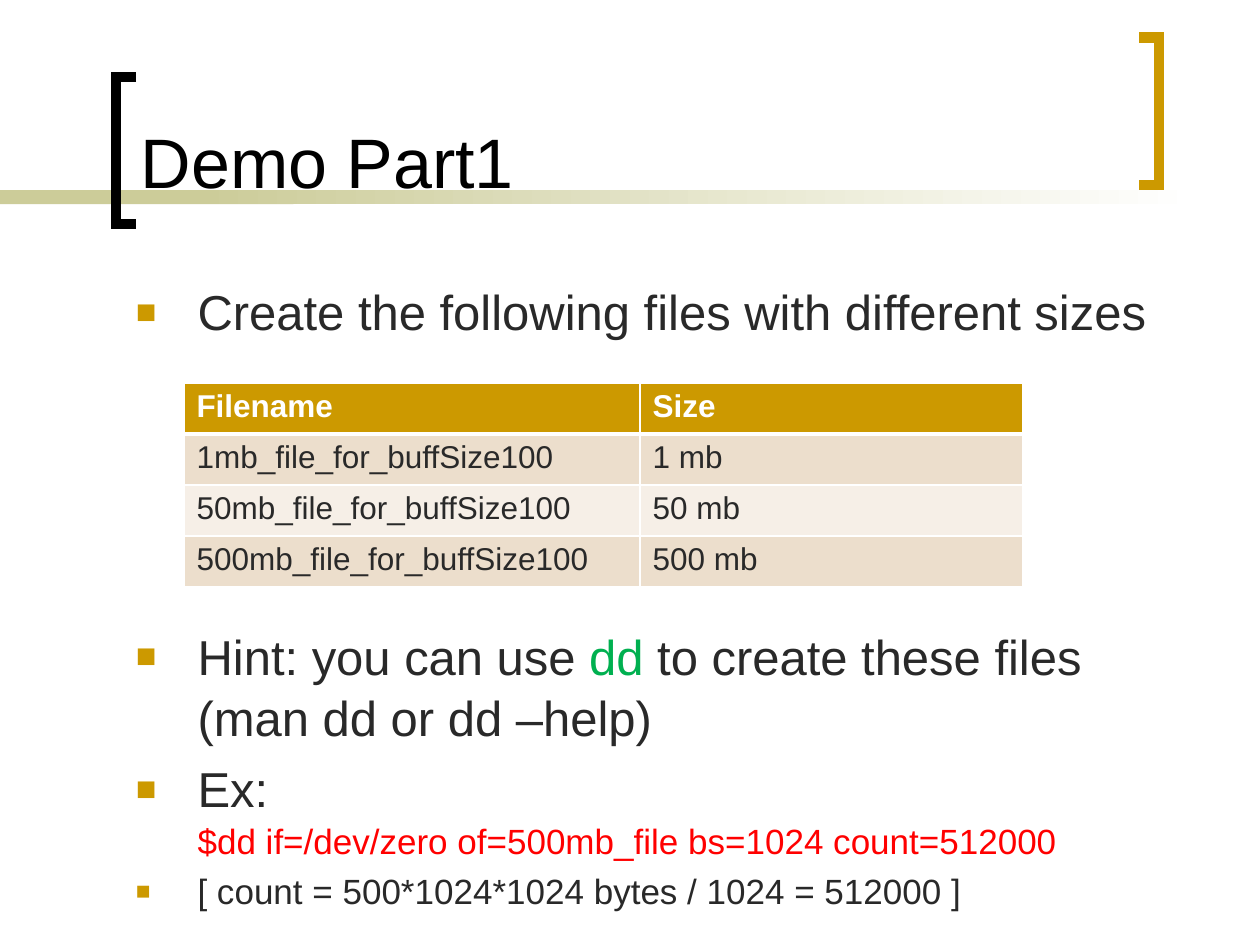
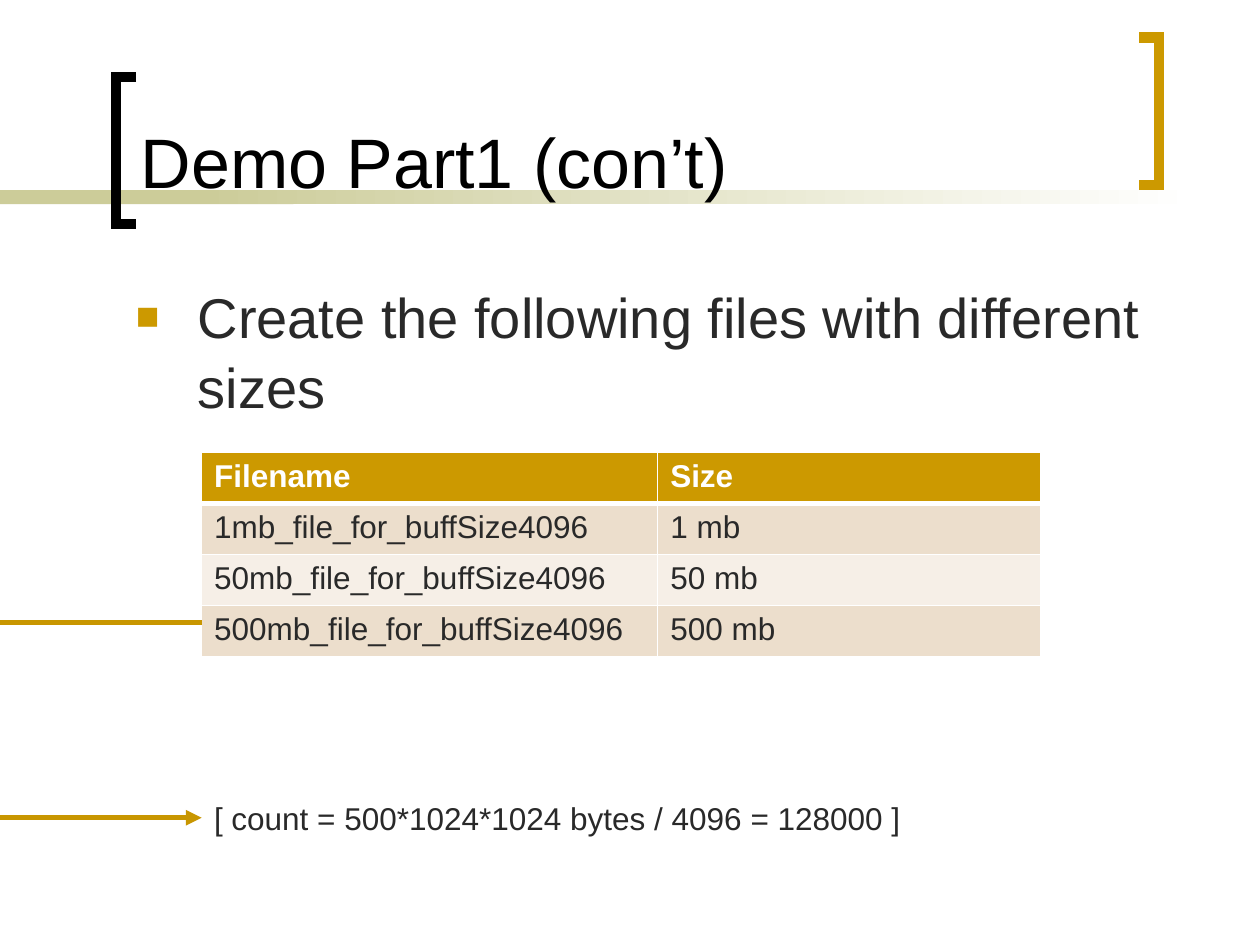
"""Builds two slides on creating demo files of different sizes."""

from dataclasses import dataclass
from typing import Any, NamedTuple

from lxml import etree
from pptx import Presentation
from pptx.dml.color import RGBColor
from pptx.enum.shapes import MSO_CONNECTOR, MSO_SHAPE
from pptx.enum.text import MSO_ANCHOR
from pptx.oxml.ns import qn
from pptx.slide import Slide
from pptx.text.text import TextFrame
from pptx.util import Inches, Pt

RECTANGLE = MSO_SHAPE.RECTANGLE
STRAIGHT = MSO_CONNECTOR.STRAIGHT
BOTTOM = MSO_ANCHOR.BOTTOM
TOP = MSO_ANCHOR.TOP

FONT = "Arial"
BLACK = RGBColor(0x00, 0x00, 0x00)
WHITE = RGBColor(0xFF, 0xFF, 0xFF)
INK = RGBColor(0x29, 0x29, 0x29)
GOLD = RGBColor(0xCC, 0x99, 0x00)
ARROW_GOLD = RGBColor(0xC8, 0x96, 0x00)
SAGE = RGBColor(0xCC, 0xCC, 0x99)
GREEN = RGBColor(0x00, 0xB0, 0x50)
RED = RGBColor(0xFF, 0x00, 0x00)
ROW_FILLS = (RGBColor(0xEC, 0xDE, 0xCC), RGBColor(0xF6, 0xEF, 0xE7))

BAND_TOP, BAND_HEIGHT = Inches(1.51), Inches(0.11)
BRACKET_HEIGHT = Inches(1.17)
COMMAND_SIZE = 20


class Box(NamedTuple):
    """Left, top, width and height in inches."""

    left: float
    top: float
    width: float
    height: float

    def emu(self) -> tuple[int, ...]:
        """Return the four lengths for python-pptx."""
        return tuple(Inches(length) for length in self)


class Bracket(NamedTuple):
    """A square bracket: open side, spine side, top and colour."""

    open_x: float
    spine_x: float
    top: float
    color: RGBColor


@dataclass(frozen=True)
class Phrase:
    """A piece of text with one size and colour."""

    text: str
    size: float
    color: RGBColor = INK
    bold: bool = False
    starts_line: bool = False


@dataclass(frozen=True)
class Bullet:
    """A bulleted paragraph and the points of space above it."""

    phrases: tuple[Phrase, ...]
    space_before: float = 0


@dataclass(frozen=True)
class DemoSlide:
    """The content of one slide."""

    title: str
    bullets: tuple[Bullet, ...]
    buffer_size: int
    table_box: Box


TITLE_BOX = Box(1.02, 0.11, 7.83, 1.55)
BODY_BOX = Box(0.98, 2.17, 8.27, 5.21)
COUNT_BOX = Box(1.6, 6.29, 6.79, 0.4)
BRACKETS = (Bracket(1.08, 0.92, 0.61, BLACK), Bracket(9.04, 9.2, 0.3, GOLD))
FILE_SIZES = (1, 50, 500)
COLUMN_WIDTHS = (3.62, 3.04)
ARROW_LENGTH = 1.6
TASK = "Create the following files with different sizes"

DEMOS = (
    DemoSlide(
        "Demo Part1",
        (
            Bullet((Phrase(TASK, 28),)),
            Bullet(
                (
                    Phrase("Hint: you can use ", 28),
                    Phrase("dd", 28, GREEN),
                    Phrase(" to create these files (man dd or dd –help)", 28),
                ),
                162,
            ),
            Bullet(
                (
                    Phrase("Ex: ", 28),
                    Phrase(
                        "$dd if=/dev/zero of=500mb_file bs=1024 count=512000",
                        COMMAND_SIZE,
                        RED,
                        starts_line=True,
                    ),
                ),
                5.6,
            ),
            Bullet(
                (Phrase("[ count = 500*1024*1024 bytes / 1024 = 512000 ]", COMMAND_SIZE),),
                4,
            ),
        ),
        100,
        Box(1.46, 3.04, 6.66, 1.62),
    ),
    DemoSlide(
        "Demo Part1 (con’t)",
        (Bullet((Phrase(TASK, 32),)),),
        4096,
        Box(1.6, 3.59, 6.66, 1.62),
    ),
)


def apply_format(target: Any, values: dict[str, Any]) -> None:
    """Set each named attribute on the target."""
    for name, value in values.items():
        setattr(target, name, value)


def add_phrase(paragraph: Any, phrase: Phrase) -> None:
    """Append a formatted run to a paragraph."""
    if phrase.starts_line:
        paragraph.add_line_break()
    run = paragraph.add_run()
    run.text = phrase.text
    apply_format(run.font, {"name": FONT, "size": Pt(phrase.size), "bold": phrase.bold})
    run.font.color.rgb = phrase.color


def add_text_frame(slide: Slide, box: Box, anchor: Any = TOP) -> TextFrame:
    """Add a wrapping text box and return its frame."""
    frame = slide.shapes.add_textbox(*box.emu()).text_frame
    apply_format(frame, {"word_wrap": True, "vertical_anchor": anchor})
    return frame


def set_bullet(paragraph: Any) -> None:
    """Give a paragraph a hanging gold square."""
    properties = paragraph._p.get_or_add_pPr()
    indent = Inches(0.49)
    properties.set("marL", str(indent))
    properties.set("indent", str(-indent))
    color = etree.SubElement(properties, qn("a:buClr"))
    etree.SubElement(color, qn("a:srgbClr"), val=str(GOLD))
    etree.SubElement(properties, qn("a:buSzPct"), val="70000")
    etree.SubElement(properties, qn("a:buFont"), typeface=FONT)
    etree.SubElement(properties, qn("a:buChar"), char="■")


def add_bullets(slide: Slide, bullets: tuple[Bullet, ...]) -> None:
    """Write the body paragraphs."""
    frame = add_text_frame(slide, BODY_BOX)
    for index, bullet in enumerate(bullets):
        paragraph = frame.add_paragraph() if index else frame.paragraphs[0]
        apply_format(
            paragraph,
            {"space_before": Pt(bullet.space_before), "line_spacing": 1.04},
        )
        set_bullet(paragraph)
        for phrase in bullet.phrases:
            add_phrase(paragraph, phrase)


def add_band(slide: Slide, left: float, width: float, fades: bool) -> None:
    """Draw a part of the band under the title."""
    band = slide.shapes.add_shape(
        RECTANGLE, Inches(left), BAND_TOP, Inches(width), BAND_HEIGHT
    )
    band.shadow.inherit = False
    band.line.fill.background()
    if fades:
        band.fill.gradient()
        band.fill.gradient_angle = 0
        for stop, color in zip(band.fill.gradient_stops, (SAGE, WHITE)):
            stop.color.rgb = color
    else:
        band.fill.solid()
        band.fill.fore_color.rgb = SAGE


def add_bracket(slide: Slide, bracket: Bracket) -> None:
    """Draw a square bracket as an open outline."""
    open_x, spine_x, top = (Inches(length) for length in bracket[:3])
    bottom = top + BRACKET_HEIGHT
    builder = slide.shapes.build_freeform(open_x, top)
    builder.add_line_segments(
        [(spine_x, top), (spine_x, bottom), (open_x, bottom)], close=False
    )
    outline = builder.convert_to_shape()
    outline.shadow.inherit = False
    outline.fill.background()
    outline.line.color.rgb = bracket.color
    outline.line.width = Pt(6)
    etree.SubElement(outline.line._get_or_add_ln(), qn("a:miter"), lim="800000")


def set_borders(cell: Any, widths: dict[str, int]) -> None:
    """Put white borders of the given point widths before the cell fill."""
    properties = cell._tc.get_or_add_tcPr()
    for position, (side, width) in enumerate(widths.items()):
        border = etree.Element(qn(f"a:{side}"), w=str(Pt(width)))
        fill = etree.SubElement(border, qn("a:solidFill"))
        etree.SubElement(fill, qn("a:srgbClr"), val=str(WHITE))
        properties.insert(position, border)


def add_file_table(slide: Slide, demo: DemoSlide) -> None:
    """Tabulate file names and sizes for one buffer size."""
    rows = [("Filename", "Size")] + [
        (f"{size}mb_file_for_buffSize{demo.buffer_size}", f"{size} mb")
        for size in FILE_SIZES
    ]
    table = slide.shapes.add_table(
        len(rows), len(COLUMN_WIDTHS), *demo.table_box.emu()
    ).table
    apply_format(table, {"first_row": False, "horz_banding": False})
    for column, width in zip(table.columns, COLUMN_WIDTHS):
        column.width = Inches(width)
    for row, texts in enumerate(rows):
        is_header = row == 0
        fill = GOLD if is_header else ROW_FILLS[(row - 1) % len(ROW_FILLS)]
        widths = {
            "lnL": 1,
            "lnR": 1,
            "lnT": 3 if row == 1 else 1,
            "lnB": 3 if is_header else 1,
        }
        for column, text in enumerate(texts):
            cell = table.cell(row, column)
            cell.fill.solid()
            cell.fill.fore_color.rgb = fill
            set_borders(cell, widths)
            color = WHITE if is_header else INK
            add_phrase(cell.text_frame.paragraphs[0], Phrase(text, 18, color, is_header))


def add_pointer(slide: Slide, y: float, has_head: bool) -> None:
    """Draw a horizontal line from the slide edge."""
    pointer = slide.shapes.add_connector(
        STRAIGHT, Inches(0), Inches(y), Inches(ARROW_LENGTH), Inches(y)
    )
    pointer.line.color.rgb = ARROW_GOLD
    pointer.line.width = Pt(3)
    if has_head:
        etree.SubElement(pointer.line._get_or_add_ln(), qn("a:tailEnd"), type="triangle")
    etree.SubElement(pointer._element.spPr, qn("a:effectLst"))


def add_demo(presentation: Any, demo: DemoSlide) -> Slide:
    """Add a slide with the shared frame, title, body and table."""
    slide = presentation.slides.add_slide(presentation.slide_layouts[6])
    add_band(slide, 0, 2.33, fades=False)
    add_band(slide, 1.58, 7.92, fades=True)
    for bracket in BRACKETS:
        add_bracket(slide, bracket)
    title = add_text_frame(slide, TITLE_BOX, BOTTOM)
    add_phrase(title.paragraphs[0], Phrase(demo.title, 40, BLACK))
    add_bullets(slide, demo.bullets)
    add_file_table(slide, demo)
    return slide


def main() -> None:
    """Build and save the presentation."""
    presentation = Presentation()
    apply_format(
        presentation, {"slide_width": Inches(10), "slide_height": Inches(7.5)}
    )
    _, continued = [add_demo(presentation, demo) for demo in DEMOS]
    count = add_text_frame(continued, COUNT_BOX)
    count_text = "[ count = 500*1024*1024 bytes / 4096 = 128000 ]"
    add_phrase(count.paragraphs[0], Phrase(count_text, 18))
    add_pointer(continued, 4.94, has_head=False)
    add_pointer(continued, 6.49, has_head=True)
    presentation.save("out.pptx")


if __name__ == "__main__":
    main()
